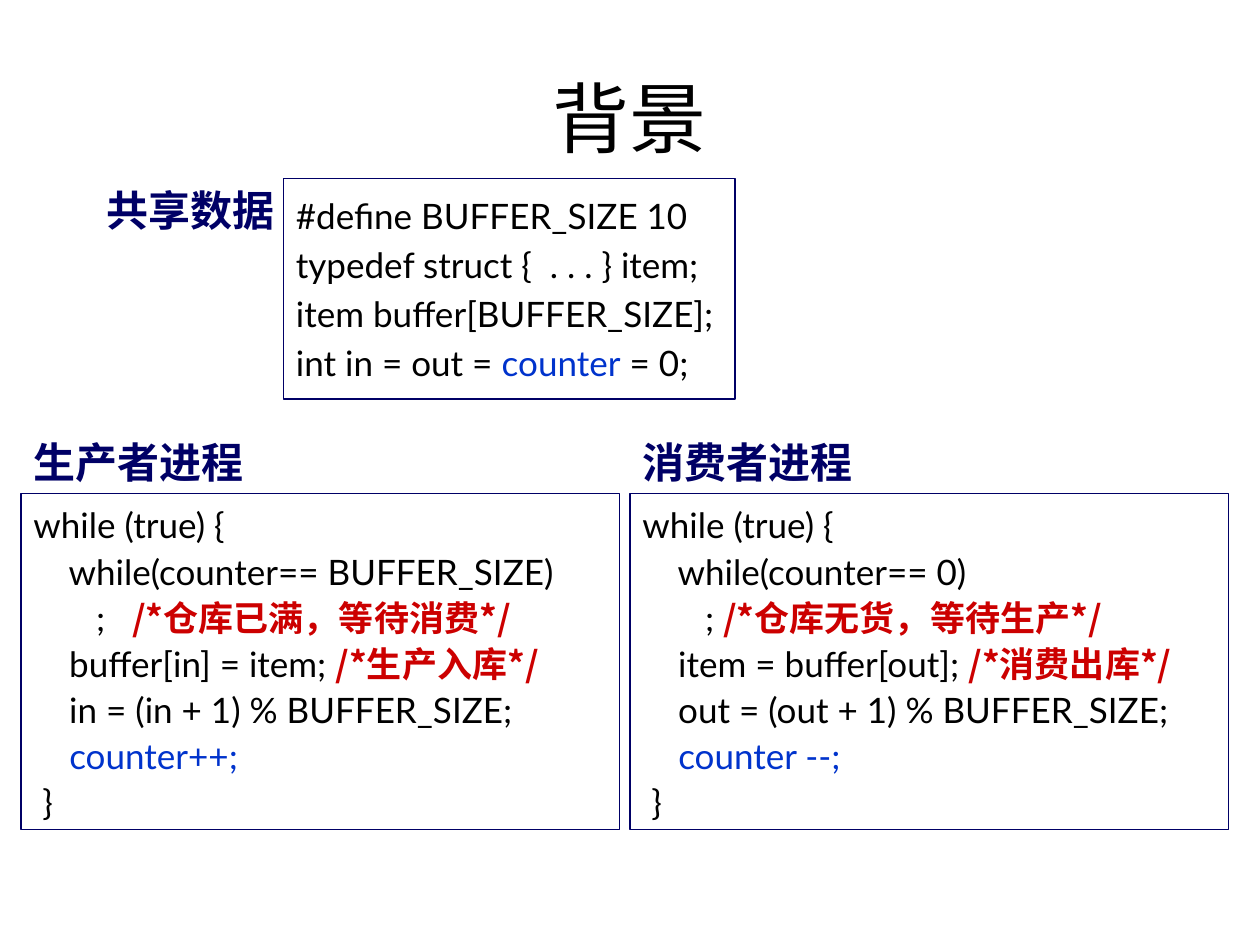
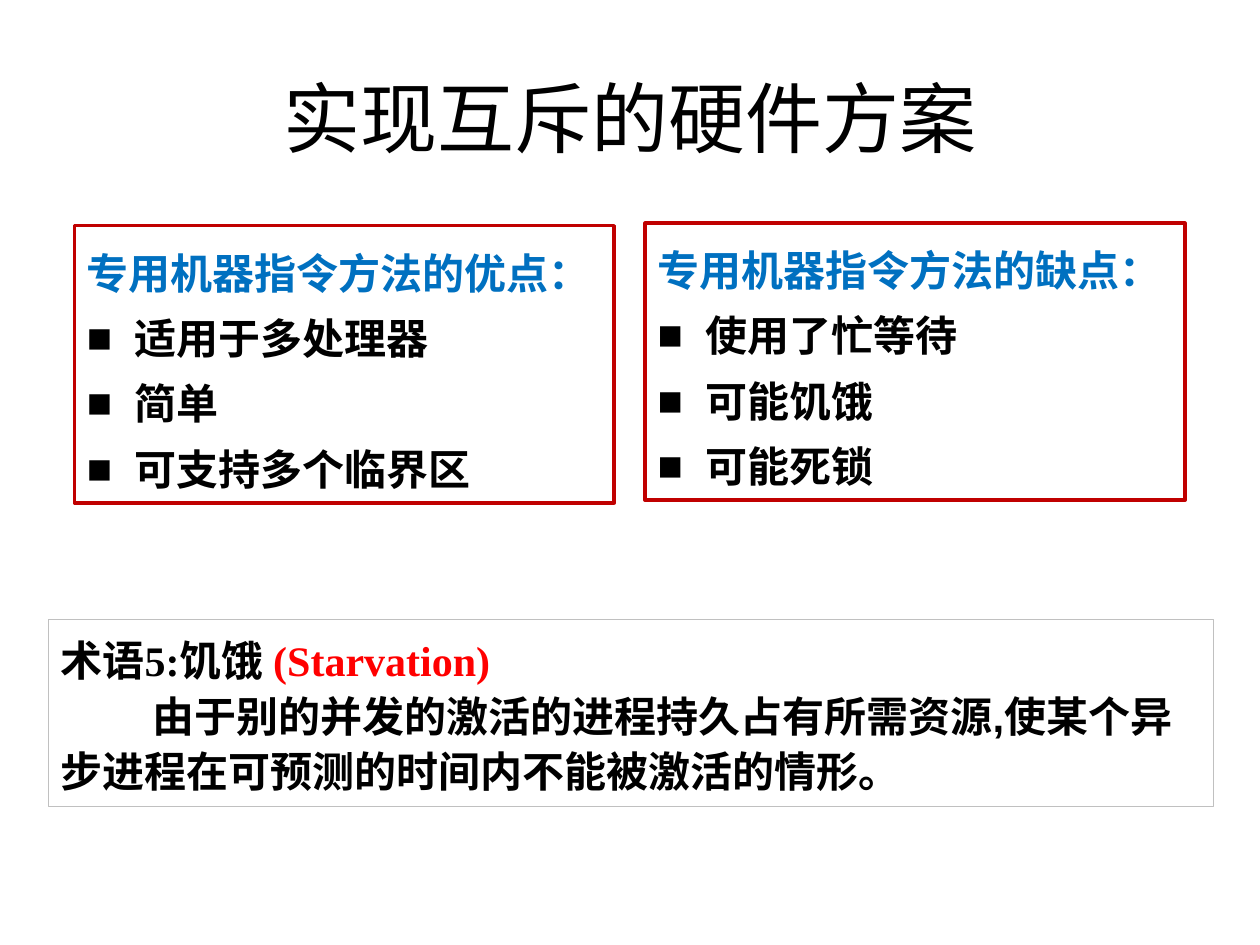
from dataclasses import dataclass

from lxml import etree
from pptx import Presentation
from pptx import util as u
from pptx.dml.color import RGBColor
from pptx.enum import shapes, text
from pptx.oxml import ns

COLUMNS, ROWS = 120, 90
CELL = u.Inches(10) // COLUMNS


@dataclass(frozen=True)
class Style:
    font: str
    size: int
    color: str
    bold: bool = False


@dataclass(frozen=True)
class Theme:
    cjk: str = "Noto Sans CJK SC"
    navy: str = "000066"
    crimson: str = "C00000"
    silver: str = "C0C0C0"
    white: str = "FFFFFF"
    title: Style = Style("Noto Sans CJK SC", 44, "000000")
    label: Style = Style("Arial", 24, "000066", True)
    code: Style = Style("Lato", 20, "000000")
    counter: Style = Style("Lato", 20, "0033CC")
    comment: Style = Style("Noto Sans CJK SC", 20, "CC0000", True)
    heading: Style = Style("Arial", 24, "0070C0", True)
    body: Style = Style("Arial", 24, "000000", True)
    term: Style = Style("Times New Roman", 24, "000000", True)
    english: Style = Style("Times New Roman", 24, "FF0000", True)


THEME = Theme()

SHARED_DATA = [
    ["#define BUFFER_SIZE 10"],
    ["typedef struct {  . . . } item;"],
    ["item buffer[BUFFER_SIZE];"],
    ["int in = out = ", ("counter", THEME.counter), " = 0;"],
]
PRODUCER = [
    ["while (true) {"],
    ["    while(counter== BUFFER_SIZE)"],
    ["       ;   ", ("/*仓库已满，等待消费*/", THEME.comment)],
    ["    buffer[in] = item; ", ("/*生产入库*/", THEME.comment)],
    ["    in = (in + 1) % BUFFER_SIZE;"],
    ["    ", ("counter++;", THEME.counter)],
    [" }"],
]
CONSUMER = [
    ["while (true) {"],
    ["    while(counter== 0)"],
    ["       ; ", ("/*仓库无货，等待生产*/", THEME.comment)],
    ["    item = buffer[out]; ", ("/*消费出库*/", THEME.comment)],
    ["    out = (out + 1) % BUFFER_SIZE;"],
    ["    ", ("counter --;", THEME.counter)],
    [" }"],
]


def grid(*cells):
    """Turn column, row, width and height in grid cells into lengths."""
    return [round(cell * CELL) for cell in cells]


def apply(font, style):
    font.name = style.font
    font.size = u.Pt(style.size)
    font.bold = style.bold
    font.color.rgb = RGBColor.from_string(style.color)


def write(paragraph, spans, style):
    """Fill a paragraph with plain strings and (string, style) pairs."""
    apply(paragraph.font, style)
    for span in spans:
        words, own_style = span if isinstance(span, tuple) else (span, None)
        run = paragraph.add_run()
        run.text = words
        if own_style:
            apply(run.font, own_style)
        east_asian = etree.SubElement(run._r.get_or_add_rPr(), ns.qn("a:ea"))
        east_asian.set("typeface", THEME.cjk)


def next_paragraph(frame):
    first = frame.paragraphs[0]
    paragraph = first if not first.runs else frame.add_paragraph()
    paragraph.alignment = text.PP_ALIGN.LEFT
    return paragraph


def indent(paragraph, left, first_line):
    properties = paragraph._p.get_or_add_pPr()
    properties.set("marL", str(u.Inches(left)))
    properties.set("indent", str(u.Inches(first_line)))
    return properties


def add_bullet(paragraph):
    properties = indent(paragraph, 0.38, -0.38)
    etree.SubElement(properties, ns.qn("a:buFont")).set("typeface", "Arial")
    etree.SubElement(properties, ns.qn("a:buChar")).set("char", "■")


def add_line_of_text(slide, place, words, style):
    frame = slide.shapes.add_textbox(*grid(*place)).text_frame
    frame.word_wrap = True
    paragraph = next_paragraph(frame)
    write(paragraph, [words], style)
    return frame, paragraph


def add_title(slide, words):
    frame, paragraph = add_line_of_text(slide, (6, 3.6, 108, 15), words, THEME.title)
    frame.vertical_anchor = text.MSO_ANCHOR.MIDDLE
    paragraph.alignment = text.PP_ALIGN.CENTER


def add_panel(slide, place, border, weight=0.75, fill=None):
    """Draw a bordered rectangle and return its text frame."""
    panel = slide.shapes.add_shape(shapes.MSO_SHAPE.RECTANGLE, *grid(*place))
    panel.shadow.inherit = False
    if fill:
        panel.fill.solid()
        panel.fill.fore_color.rgb = RGBColor.from_string(fill)
    else:
        panel.fill.background()
    panel.line.color.rgb = RGBColor.from_string(border)
    panel.line.width = u.Pt(weight)
    frame = panel.text_frame
    frame.word_wrap = True
    frame.vertical_anchor = text.MSO_ANCHOR.TOP
    return frame


def add_code(slide, place, lines, spacing=1.0, gap=0, top=0.05):
    frame = add_panel(slide, place, THEME.navy, fill=THEME.white)
    frame.margin_top = u.Inches(top)
    for number, line in enumerate(lines):
        paragraph = next_paragraph(frame)
        paragraph.line_spacing = spacing
        if gap and number:
            paragraph.space_before = u.Pt(gap)
        write(paragraph, line, THEME.code)


def add_points(slide, place, heading, points):
    frame = add_panel(slide, place, THEME.crimson, weight=2)
    for number, words in enumerate([heading, *points]):
        paragraph = next_paragraph(frame)
        paragraph.line_spacing = 1.3
        if number:
            add_bullet(paragraph)
        write(paragraph, [words], THEME.body if number else THEME.heading)


def add_definition(slide, place, term, definition):
    frame = add_panel(slide, place, THEME.silver)
    frame.vertical_anchor = text.MSO_ANCHOR.MIDDLE
    for spans, first_line, style in ((term, 0, THEME.term),
                                     (definition, 0.73, THEME.body)):
        paragraph = next_paragraph(frame)
        paragraph.line_spacing = 1.1
        indent(paragraph, 0, first_line)
        write(paragraph, spans, style)


def build_background(slide):
    add_title(slide, "背景")
    add_code(slide, (27, 17, 43, 21), SHARED_DATA, gap=4, top=0.13)
    add_line_of_text(slide, (9, 17, 25, 6), "共享数据", THEME.label)
    processes = (("生产者进程", PRODUCER), ("消费者进程", CONSUMER))
    for number, (label, code) in enumerate(processes):
        left = 2 + 58 * number
        add_code(slide, (left, 47, 57, 32), code, spacing=1.1)
        add_line_of_text(slide, (left, 41, 34, 6), label, THEME.label)


def build_hardware(slide):
    add_title(slide, "实现互斥的硬件方案")
    add_points(slide, (7.1, 21.5, 51.4, 26.4), "专用机器指令方法的优点：",
               ["适用于多处理器", "简单", "可支持多个临界区"])
    add_points(slide, (61.45, 21.25, 51.4, 26.4), "专用机器指令方法的缺点：",
               ["使用了忙等待", "可能饥饿", "可能死锁"])
    add_definition(
        slide, (4.6, 59, 111, 17.8),
        ["术语5:", ("饥饿 ", THEME.body), ("(Starvation)", THEME.english)],
        ["由于别的并发的激活的进程持久占有所需资源,"
         "使某个异步进程在可预测的时间内不能被激活的情形。"])


def main():
    deck = Presentation()
    deck.slide_width, deck.slide_height = grid(COLUMNS, ROWS)
    blank = deck.slide_layouts[6]
    for build in (build_background, build_hardware):
        build(deck.slides.add_slide(blank))
    deck.save("out.pptx")


if __name__ == "__main__":
    main()
